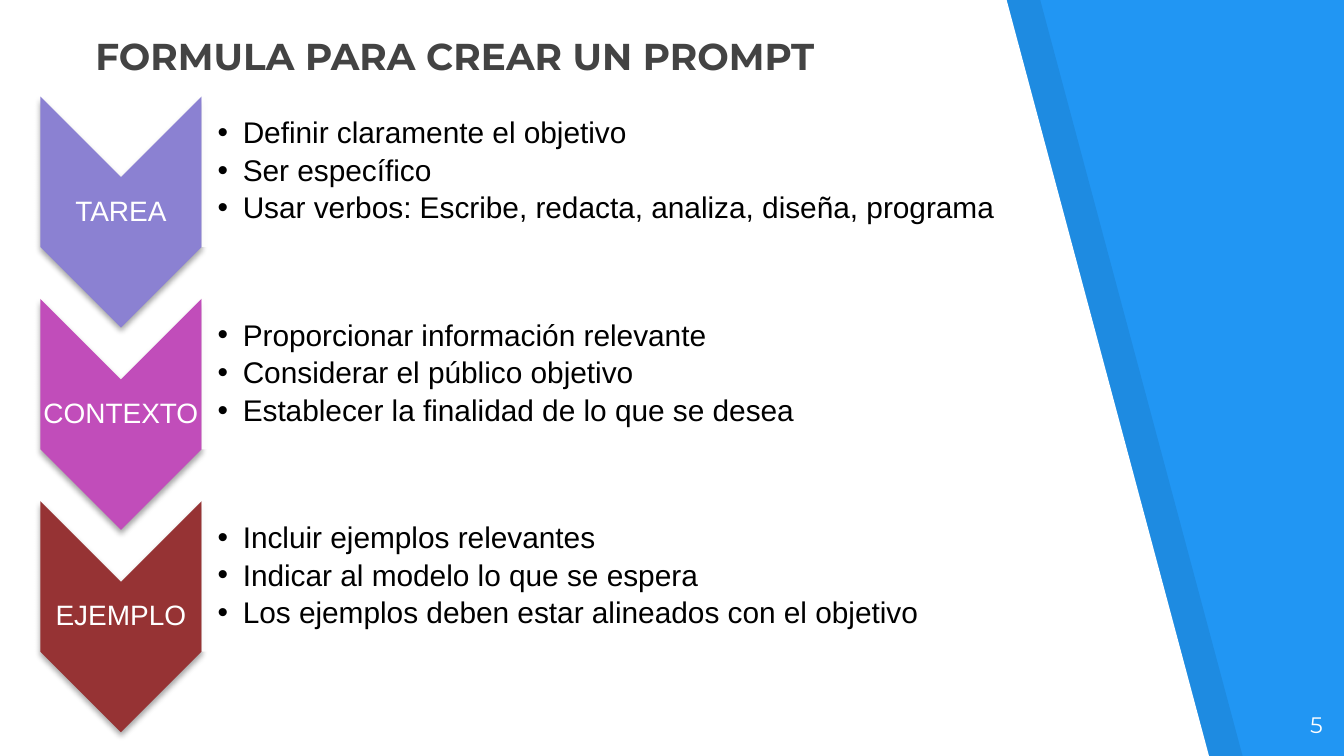
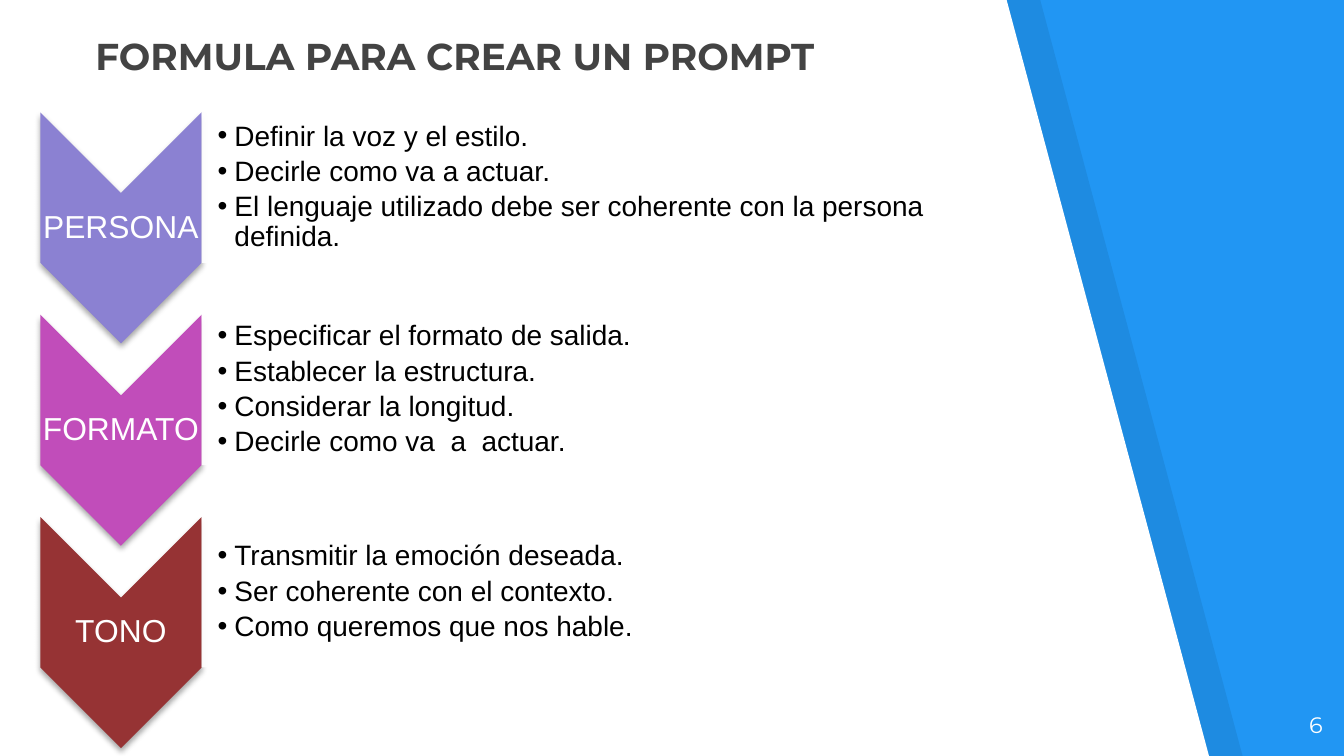
from dataclasses import dataclass

from lxml.etree import SubElement as Sub
from pptx import Presentation
from pptx.dml.color import RGBColor as Rgb
from pptx.enum.shapes import MSO_SHAPE as Kind
from pptx.enum.text import MSO_ANCHOR as Anchor, PP_ALIGN as Align
from pptx.oxml.ns import qn
from pptx.util import Pt


@dataclass(frozen=True)
class Theme:
    blue: str = "2196F3"
    white: str = "FFFFFF"
    black: str = "000000"
    grey: str = "434343"
    steps: tuple = ("8B81D2", "C14DBA", "963334")
    head: str = "Montserrat"
    body: str = "Arial"
    title: int = 20
    number: int = 12


@dataclass(frozen=True)
class Box:
    left: float
    top: float
    width: float
    height: float


@dataclass(frozen=True)
class Step:
    label: str
    points: tuple


@dataclass(frozen=True)
class Page:
    number: int
    top: float
    label: int
    point: int
    indent: float
    panel: float
    steps: tuple


THEME = Theme()
TITLE = "FORMULA PARA CREAR UN PROMPT"
PITCH = 108.4
LEFT, ARROW_W, ARROW_H = 21.6, 86.4, 123.8
PANEL_H, POINTS_H, LABEL_H = 80.6, 72.8, 37.4
GAP = (PANEL_H - POINTS_H) / 2

PAGES = (
    Page(5, 51.7, 15, 16, 13.5, 445.6, (
        Step("TAREA", (
            "Definir claramente el objetivo",
            "Ser específico",
            "Usar verbos: Escribe, redacta, analiza, diseña, programa")),
        Step("CONTEXTO", (
            "Proporcionar información relevante",
            "Considerar el público objetivo",
            "Establecer la finalidad de lo que se desea")),
        Step("EJEMPLO", (
            "Incluir ejemplos relevantes",
            "Indicar al modelo lo que se espera",
            "Los ejemplos deben estar alineados con el objetivo")),
    )),
    Page(6, 60.2, 17, 15, 9, 442, (
        Step("PERSONA", (
            "Definir la voz y el estilo.",
            "Decirle como va a actuar.",
            "El lenguaje utilizado debe ser coherente con la persona definida.")),
        Step("FORMATO", (
            "Especificar el formato de salida.",
            "Establecer la estructura.",
            "Considerar la longitud.",
            "Decirle como va  a  actuar.")),
        Step("TONO", (
            "Transmitir la emoción deseada.",
            "Ser coherente con el contexto.",
            "Como queremos que nos hable.")),
    )),
)


def paint(shape, color: str, alpha: int = 100) -> None:
    """Give a flat fill, with no line and no shadow."""
    shape.shadow.inherit = False
    shape.fill.solid()
    shape.fill.fore_color.rgb = Rgb.from_string(color)
    shape.line.fill.background()
    if alpha < 100:
        tone = shape._element.spPr.find(qn("a:solidFill"))[0]
        Sub(tone, qn("a:alpha"), val=str(alpha * 1000))


def shade(shape) -> None:
    """Cast a soft shadow straight down."""
    list_ = shape._element.spPr.find(qn("a:effectLst"))
    cast = Sub(list_, qn("a:outerShdw"), blurRad=str(Pt(3.1)),
               dist=str(Pt(1.8)), dir="5400000", rotWithShape="0")
    tone = Sub(cast, qn("a:srgbClr"), val=THEME.black)
    Sub(tone, qn("a:alpha"), val="35000")


def mark(para, indent: float, color: str) -> None:
    """Add a round bullet with a hanging indent."""
    para.level = 1
    props = para._p.get_or_add_pPr()
    props.set("marL", str(Pt(indent)))
    props.set("indent", str(-Pt(indent)))
    Sub(Sub(props, qn("a:buClr")), qn("a:srgbClr"), val=color)
    Sub(props, qn("a:buFont"), typeface=THEME.body)
    Sub(props, qn("a:buChar"), char="•")


def write(slide, box: Box, *lines: str, size: int, color: str,
          font: str = THEME.body, bold: bool = False, align=Align.LEFT,
          anchor=Anchor.MIDDLE, inset: float = 0.7, lead: float = 0.7,
          space: float = 1, after: float = 0, indent: float = 0) -> None:
    """Write one paragraph a line; lead is the left inset."""
    frame = slide.shapes.add_textbox(
        Pt(box.left), Pt(box.top), Pt(box.width), Pt(box.height)).text_frame
    frame.word_wrap = True
    frame.vertical_anchor = anchor
    frame.margin_left = Pt(lead)
    frame.margin_top = frame.margin_right = frame.margin_bottom = Pt(inset)
    for i, line in enumerate(lines):
        para = frame.add_paragraph() if i else frame.paragraphs[0]
        para.alignment = align
        para.line_spacing = space
        para.space_after = Pt(after)
        if indent:
            mark(para, indent, color)
        run = para.add_run()
        run.text = line
        run.font.name, run.font.size, run.font.bold = font, Pt(size), bold
        run.font.color.rgb = Rgb.from_string(color)


def turn(slide, kind, box: Box):
    """Add a shape turned by 90 degrees that fills the box as seen."""
    shift = (box.width - box.height) / 2
    shape = slide.shapes.add_shape(
        kind, Pt(box.left + shift), Pt(box.top - shift),
        Pt(box.height), Pt(box.width))
    shape.rotation = 90
    return shape


def sheet(slide, left: float, color: str, alpha: int = 100) -> None:
    """Draw the slanted sheet that leaves the blue band free."""
    pen = slide.shapes.build_freeform(Pt(left), Pt(-0.7))
    pen.add_line_segments([(Pt(left + x), Pt(y)) for x, y in (
        (0, 406.1), (648, 406.1), (539.3, 0))], close=True)
    paint(pen.convert_to_shape(), color, alpha)


def frame_page(slide, number: int) -> None:
    sheet(slide, 18, THEME.black, 7)
    sheet(slide, 0, THEME.white)
    write(slide, Box(672.5, 373.7, 43.2, 31), str(number), size=THEME.number,
          color=THEME.white, font=THEME.head, align=Align.RIGHT,
          anchor=Anchor.TOP, inset=7.2, lead=7.2)
    write(slide, Box(44, 16.5, 437, 32.5), TITLE, size=THEME.title,
          color=THEME.grey, font=THEME.head, bold=True,
          anchor=Anchor.BOTTOM, inset=7.2, lead=7.2)


def draw_step(slide, page: Page, step: Step, top: float, color: str) -> None:
    arrow = turn(slide, Kind.CHEVRON, Box(LEFT, top, ARROW_W, ARROW_H))
    paint(arrow, color)
    shade(arrow)
    write(slide, Box(LEFT, top + (ARROW_H - LABEL_H) / 2, ARROW_W, LABEL_H),
          step.label, size=page.label, color=THEME.white,
          align=Align.CENTER, space=0.9)
    side = LEFT + ARROW_W
    panel = turn(slide, Kind.ROUND_2_SAME_RECTANGLE,
                 Box(side, top, page.panel, PANEL_H))
    paint(panel, THEME.white, 90)
    write(slide, Box(side, top + GAP, page.panel - GAP, POINTS_H),
          *step.points, size=page.point, color=THEME.black, lead=8.6,
          space=0.9, after=round(page.point * 0.18, 1), indent=page.indent)


def main() -> None:
    deck = Presentation()
    deck.slide_width, deck.slide_height = Pt(720), Pt(405)
    back = deck.slide_master.background.fill
    back.solid()
    back.fore_color.rgb = Rgb.from_string(THEME.blue)
    for page in PAGES:
        slide = deck.slides.add_slide(deck.slide_layouts[6])
        frame_page(slide, page.number)
        for i, (step, color) in enumerate(zip(page.steps, THEME.steps)):
            draw_step(slide, page, step, page.top + i * PITCH, color)
    deck.save("out.pptx")


if __name__ == "__main__":
    main()
